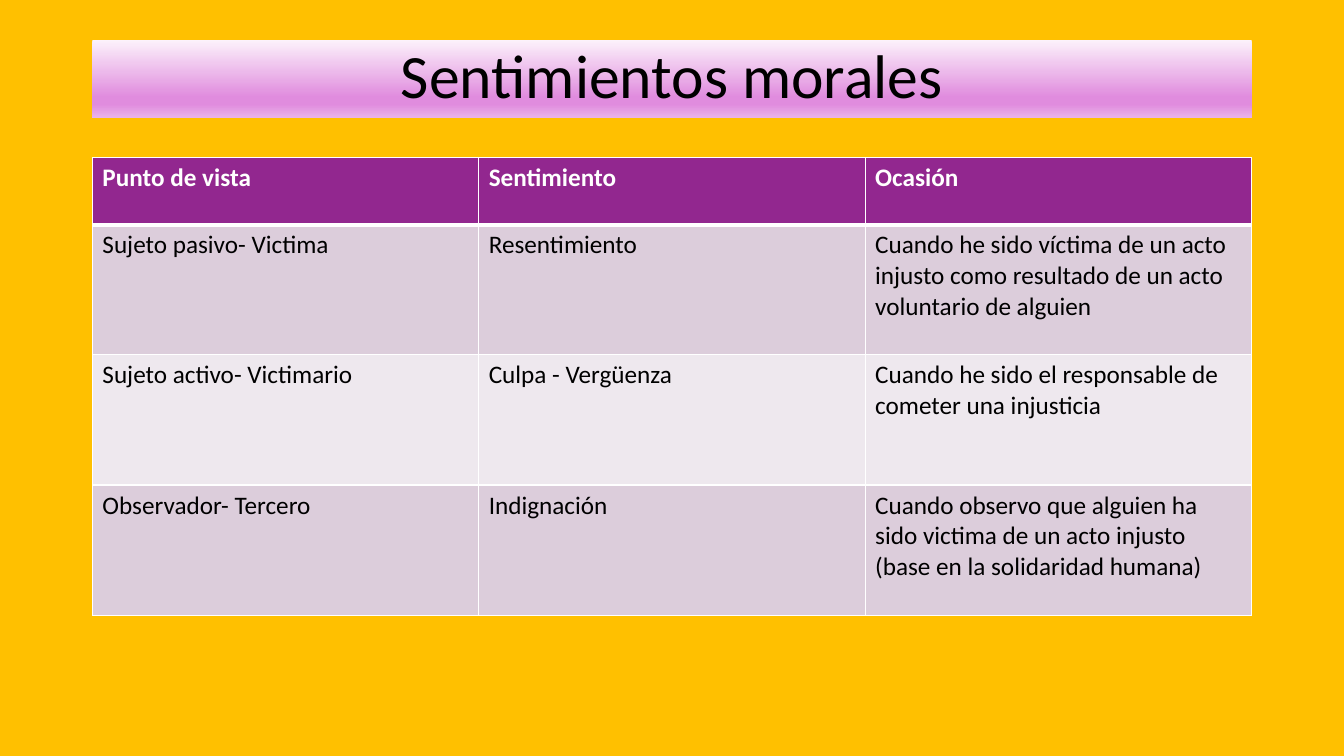
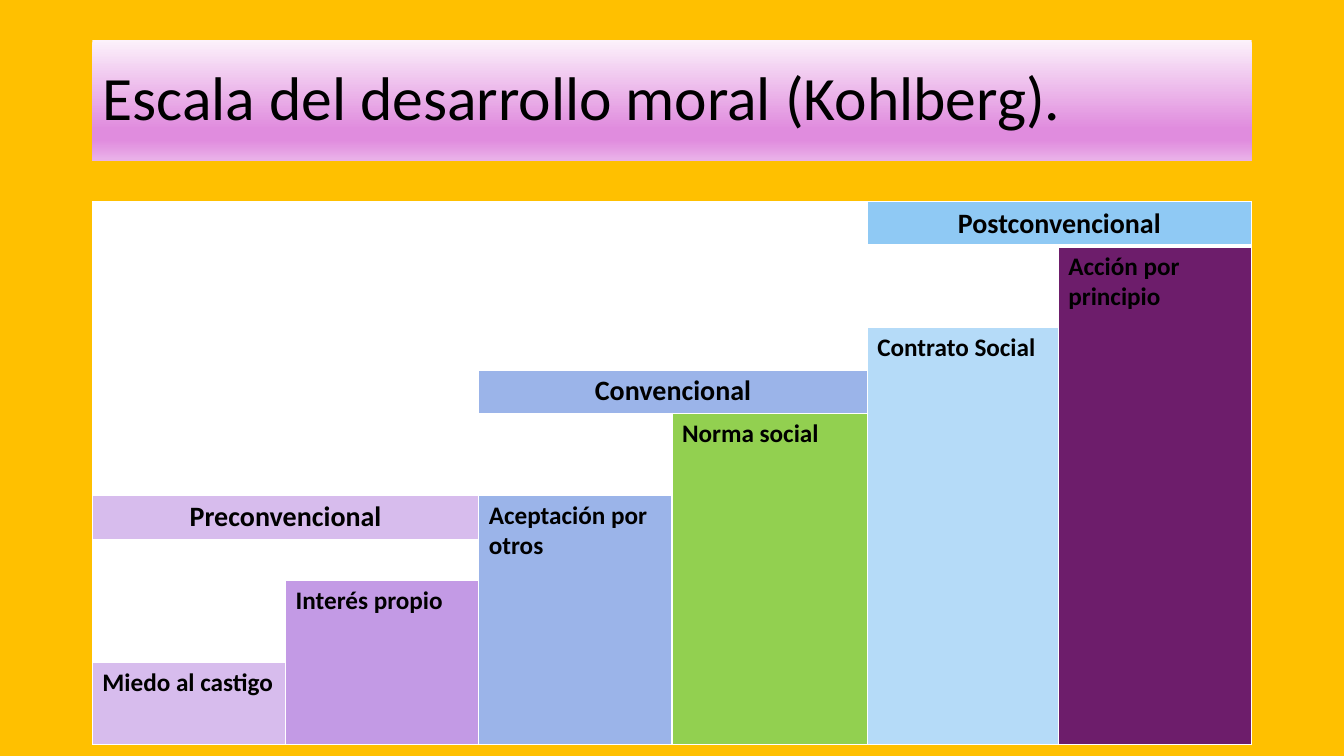
from lxml.etree import SubElement
from pptx import Presentation
from pptx.dml.color import RGBColor
from pptx.enum.text import MSO_ANCHOR, MSO_AUTO_SIZE, PP_ALIGN
from pptx.oxml import parse_xml
from pptx.oxml.ns import nsdecls, qn
from pptx.util import Emu, Pt

PX = 9525
FONT = "Calibri"
LEFT, TOP, WIDTH = 88, 38, 1104
COLORS = {
    "background": "FFC000", "text": "000000", "white": "FFFFFF",
    "header": "92278F", "band_dark": "DCCDDB", "band_light": "EEE8EE",
    "lilac": "D7BCED", "violet": "C39AE5", "periwinkle": "9BB4E9",
    "green": "92D050", "pale_blue": "B5DBF8", "sky": "8FC9F4",
    "plum": "6D1D6B",
}
TITLE_STOPS = [(0, "FCF2FB"), (74, "E08CDE"), (83, "E08CDE"), (100, "EAB2E9")]

FEELINGS = [
    ("Punto de vista", "Sentimiento", "Ocasión"),
    ("Sujeto pasivo- Victima", "Resentimiento",
     "Cuando he sido víctima de un acto injusto como resultado de un acto "
     "voluntario de alguien"),
    ("Sujeto activo- Victimario", "Culpa - Vergüenza",
     "Cuando he sido el responsable de cometer una injusticia"),
    ("Observador- Tercero", "Indignación",
     "Cuando observo que alguien ha sido victima de un acto injusto "
     "(base en la solidaridad humana)"),
]
LEVELS = [
    (5, "Preconvencional", "lilac"),
    (3, "Convencional", "periwinkle"),
    (0, "Postconvencional", "sky"),
]
STEPS = [
    (8, "Miedo al castigo", "lilac"),
    (7, "Interés propio", "violet"),
    (5, "Aceptación por otros", "periwinkle"),
    (4, "Norma social", "green"),
    (2, "Contrato Social", "pale_blue"),
    (1, "Acción por principio", "plum"),
]
BLANKS = [(0, 0, 3, 4), (3, 0, 2, 2), (6, 0, 2, 1)]


def px(*values):
    return [Emu(v * PX) for v in values]


def rgb(name):
    return RGBColor.from_string(COLORS[name])


def format_text(tf, size, color="text", bold=False, align=PP_ALIGN.LEFT):
    for p in tf.paragraphs:
        p.alignment = align
        for r in p.runs:
            r.font.name = FONT
            r.font.size = Pt(size)
            r.font.bold = bold
            r.font.color.rgb = rgb(color)


def add_title(s, text, box, align):
    sp = s.shapes.title
    sp.left, sp.top, sp.width, sp.height = px(*box)
    stops = "".join(
        f'<a:gs pos="{pos * 1000}"><a:srgbClr val="{color}"/></a:gs>'
        for pos, color in TITLE_STOPS)
    sp._element.spPr.append(parse_xml(
        f'<a:gradFill {nsdecls("a")} rotWithShape="1"><a:gsLst>{stops}</a:gsLst>'
        '<a:lin ang="5400000" scaled="0"/></a:gradFill>'))
    tf = sp.text_frame
    tf.text = text
    tf.word_wrap = True
    tf.auto_size = MSO_AUTO_SIZE.NONE
    tf.vertical_anchor = MSO_ANCHOR.MIDDLE
    tf.paragraphs[0].line_spacing = 0.9
    format_text(tf, 44, align=align)


def set_borders(cell, widths):
    tcPr = cell._tc.get_or_add_tcPr()
    for side, width in zip("LRTB", widths):
        ln = SubElement(tcPr, qn(f"a:ln{side}"), w=str(Pt(width)))
        fill = SubElement(ln, qn("a:solidFill"))
        SubElement(fill, qn("a:srgbClr"), val=COLORS["white"])


def add_grid(s, left, top, cols, rows):
    frame = s.shapes.add_table(len(rows), len(cols),
                               *px(left, top, sum(cols), sum(rows)))
    table = frame.table
    for column, width in zip(table.columns, cols):
        column.width = Emu(width * PX)
    for i, (row, height) in enumerate(zip(table.rows, rows)):
        row.height = Emu(height * PX)
        for cell in row.cells:
            set_borders(cell, (1, 1, 3 if i == 1 else 1, 3 if i == 0 else 1))
            paint(cell, "white")
    return table


def paint(cell, color):
    cell.fill.solid()
    cell.fill.fore_color.rgb = rgb(color)


def merge(table, row, col, n_rows, n_cols):
    cell = table.cell(row, col)
    if n_rows * n_cols > 1:
        cell.merge(table.cell(row + n_rows - 1, col + n_cols - 1))
    return cell


def add_feelings(s, left, top, width):
    table = add_grid(s, left, top, [width // 3] * 3, [64] + [124] * 3)
    for i, texts in enumerate(FEELINGS):
        head = i == 0
        fill = "header" if head else "band_dark" if i % 2 else "band_light"
        for cell, text in zip(table.rows[i].cells, texts):
            cell.text = text
            paint(cell, fill)
            format_text(cell.text_frame, 18, "white" if head else "text", head)


def add_staircase(s, left, top):
    rows = [39, 78, 39] * 2 + [39, 78, 78]
    table = add_grid(s, left, top, [184, 184, 184, 186, 182, 184], rows)
    for blank in BLANKS:
        merge(table, *blank)
    blocks = [(row, 2 * i, 1, 2, text, fill, 20, PP_ALIGN.CENTER)
              for i, (row, text, fill) in enumerate(LEVELS)]
    blocks += [(row, col, len(rows) - row, 1, text, fill, 18, PP_ALIGN.LEFT)
               for col, (row, text, fill) in enumerate(STEPS)]
    for row, col, n_rows, n_cols, text, fill, size, align in blocks:
        cell = merge(table, row, col, n_rows, n_cols)
        cell.text = text
        paint(cell, fill)
        format_text(cell.text_frame, size, bold=True, align=align)


def main():
    prs = Presentation()
    prs.slide_width, prs.slide_height = px(1280, 720)
    background = prs.slide_master.background.fill
    background.solid()
    background.fore_color.rgb = rgb("background")
    layout = prs.slide_layouts.get_by_name("Title Only")

    s = prs.slides.add_slide(layout)
    add_title(s, "Sentimientos morales", (LEFT, TOP, WIDTH, 74), PP_ALIGN.CENTER)
    add_feelings(s, LEFT, 150, WIDTH)

    s = prs.slides.add_slide(layout)
    add_title(s, "Escala del desarrollo moral (Kohlberg).",
              (LEFT, TOP, WIDTH, 115), PP_ALIGN.LEFT)
    add_staircase(s, LEFT, 192)

    prs.save("out.pptx")


if __name__ == "__main__":
    main()
